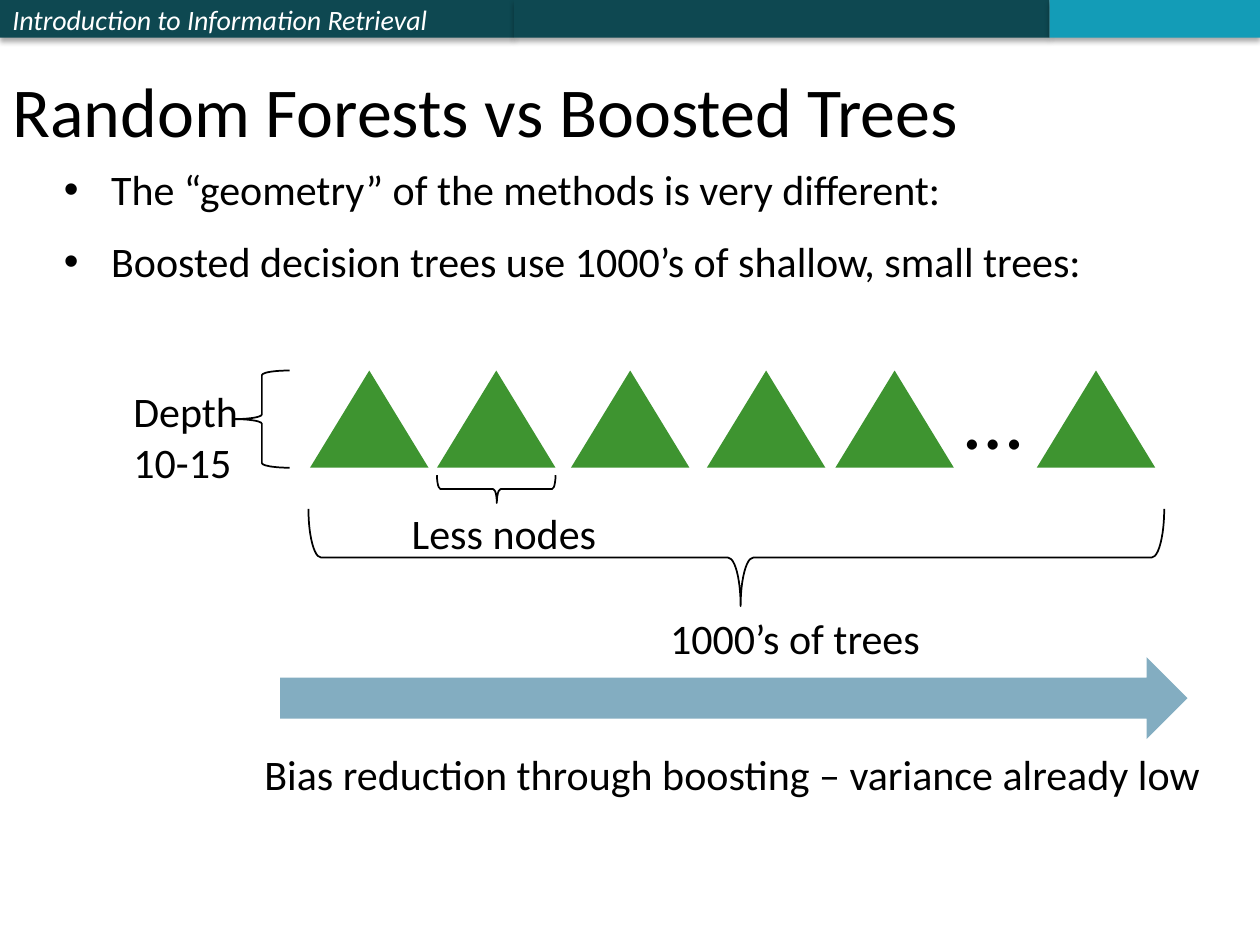
import pptx
import pptx.dml.color
import pptx.enum.shapes
import pptx.enum.text
import pptx.oxml
import pptx.oxml.ns
import pptx.util

Cm = pptx.util.Cm
Pt = pptx.util.Pt
SHAPE = pptx.enum.shapes.MSO_SHAPE
ANCHOR = pptx.enum.text.MSO_ANCHOR

FONT = "Calibri"
COLOURS = {
    "text": "000000",
    "header text": "FFFFFF",
    "band": "0E4851",
    "band accent": "139CB7",
    "tree": "3E9430",
    "arrow": "83ADC1",
}


def colour(name):
    return pptx.dml.color.RGBColor.from_string(COLOURS[name])


def style_font(font, size, name="text"):
    font.name = FONT
    font.size = Pt(size)
    font.color.rgb = colour(name)


def add_solid(slide, kind, box, fill):
    solid = slide.shapes.add_shape(kind, *map(Cm, box))
    solid.shadow.inherit = False
    solid.fill.solid()
    solid.fill.fore_color.rgb = colour(fill)
    solid.line.fill.background()
    return solid


def add_drop_shadow(band):
    effects = band._element.spPr.find(pptx.oxml.ns.qn("a:effectLst"))
    effects.append(pptx.oxml.parse_xml(
        f'<a:outerShdw {pptx.oxml.ns.nsdecls("a")} blurRad="{Pt(3.1)}" '
        f'dist="{Pt(1.8)}" dir="5400000" rotWithShape="0">'
        '<a:srgbClr val="000000"><a:alpha val="35000"/></a:srgbClr>'
        '</a:outerShdw>'))


def add_label(slide, box, text, size=24, wrap=False):
    label = slide.shapes.add_textbox(*map(Cm, box))
    frame = label.text_frame
    frame.text = text
    frame.word_wrap = wrap
    for paragraph in frame.paragraphs:
        for run in paragraph.runs:
            style_font(run.font, size)
    return frame


def add_brace(slide, box, opens_up=False):
    """Outline a brace that fills box; one that opens up is a turned left brace."""
    left, top, width, height = box
    if opens_up:
        left, top = left + (width - height) / 2, top + (height - width) / 2
        width, height = height, width
    brace = slide.shapes.add_shape(
        SHAPE.LEFT_BRACE, *map(Cm, (left, top, width, height)))
    brace.shadow.inherit = False
    brace.fill.background()
    brace.line.color.rgb = colour("text")
    brace.line.width = Pt(1)
    if opens_up:
        brace.rotation = 270
        brace.adjustments[0] = 0.13
        brace.adjustments[1] = 0.505


def build_header(slide, box):
    left, top, width, height = box
    course_width, middle_width = 10.36, 10.8
    accent_width = width - course_width - middle_width
    bands = []
    for band_width, fill in ((course_width, "band"), (middle_width, "band"),
                             (accent_width, "band accent")):
        band = add_solid(slide, SHAPE.RECTANGLE,
                         (left, top, band_width, height), fill)
        add_drop_shadow(band)
        bands.append(band)
        left += band_width

    course = bands[0].text_frame
    course.text = "Introduction to Information Retrieval"
    course.vertical_anchor = ANCHOR.MIDDLE
    course.paragraphs[0].alignment = pptx.enum.text.PP_ALIGN.LEFT
    run = course.paragraphs[0].runs[0]
    style_font(run.font, 16, "header text")
    run.font.italic = True


def build_title(slide, box):
    title = add_label(slide, box, "Random Forests vs Boosted Trees", 40, wrap=True)
    title.vertical_anchor = ANCHOR.BOTTOM


def build_points(slide, box):
    points = add_label(
        slide, box,
        "The “geometry” of the methods is very different:\n"
        "Boosted decision trees use 1000’s of shallow, small trees:", wrap=True)
    indent = Cm(0.95)
    for index, point in enumerate(points.paragraphs):
        properties = point._p.get_or_add_pPr()
        properties.set("marL", str(indent))
        properties.set("indent", str(-indent))
        properties.append(pptx.oxml.parse_xml(
            f'<a:buFont {pptx.oxml.ns.nsdecls("a")} typeface="Arial"/>'))
        properties.append(pptx.oxml.parse_xml(
            f'<a:buChar {pptx.oxml.ns.nsdecls("a")} char="•"/>'))
        point.space_before = Pt(6 if index else 0)
        point.space_after = Pt(6)


def build_forest(slide, box):
    left, top, width, height = box

    def within(x, y, w, h):
        return left + x, top + y, w, h

    # Row of trees, with a gap for the ellipsis before the last
    tree_top, tree_width, tree_height = 0.23, 2.39, 1.96
    tree_lefts = (3.81, 6.37, 9.07, 11.81, 14.4, 18.46)
    for x in tree_lefts:
        add_solid(slide, SHAPE.ISOSCELES_TRIANGLE,
                  within(x, tree_top, tree_width, tree_height), "tree")
    add_label(slide, within(16.76, 0, 1.7, 2.31), "…", 48)

    # Depth of each tree
    add_brace(slide, within(2.28, tree_top, 1.12, tree_height))
    add_label(slide, within(0, 0.41, 2.84, 2.31), "Depth \v10-15")

    # Nodes in one tree
    add_brace(slide, within(tree_lefts[1], 2.34, tree_width, 0.56), opens_up=True)
    add_label(slide, within(5.61, 2.87, 4.27, 1.27), "Less nodes")

    # Number of trees
    add_brace(slide, within(3.78, 3.02, width - 3.78, 1.96), opens_up=True)
    add_label(slide, within(10.82, height - 1.27, 5.59, 1.27), "1000’s of trees")


def build_bias_arrow(slide, box):
    left, top, width, height = box
    add_solid(slide, SHAPE.RIGHT_ARROW, (left + 0.57, top, 18.29, 1.65), "arrow")
    add_label(slide, (left, top + height - 1.27, width, 1.27),
              "Bias reduction through boosting – variance already low")


def main():
    deck = pptx.Presentation()
    deck.slide_width = Cm(25.4)
    deck.slide_height = Cm(19.05)
    slide = deck.slides.add_slide(deck.slide_layouts[6])
    build_header(slide, (0, 0, 25.4, 0.76))
    build_title(slide, (0, 0, 22.86, 3.18))
    build_points(slide, (1.04, 3.18, 23.11, 2.74))
    build_forest(slide, (2.44, 7.24, 21.03, 6.25))
    build_bias_arrow(slide, (5.08, 13.25, 19.56, 2.98))
    deck.save("out.pptx")


if __name__ == "__main__":
    main()
